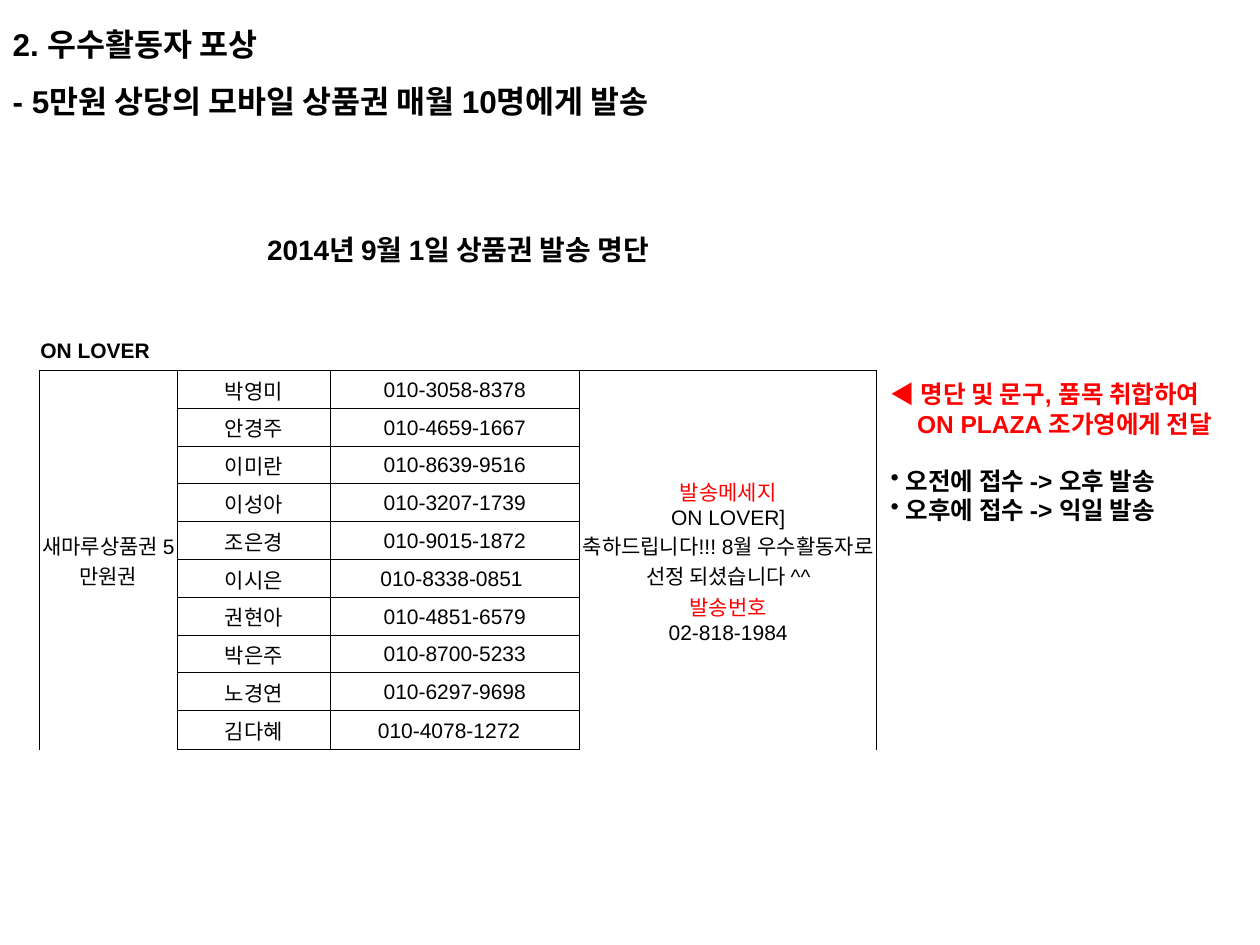
import pptx
import pptx.util
import pptx.dml.color
import pptx.enum.text
import pptx.oxml
import pptx.oxml.ns
import lxml.etree

Inches = pptx.util.Inches
Pt = pptx.util.Pt
ALIGN = pptx.enum.text.PP_ALIGN
ANCHOR = pptx.enum.text.MSO_ANCHOR
qn = pptx.oxml.ns.qn
NO_STYLE = "{2D5ABB26-0587-4C30-8999-92F81FD0307C}"
BLACK, RED = "000000", "FF0000"

PEOPLE = [
    ("박영미", "010-3058-8378"), ("안경주", "010-4659-1667"),
    ("이미란", "010-8639-9516"), ("이성아", "010-3207-1739"),
    ("조은경", "010-9015-1872"), ("이시은", "010-8338-0851"),
    ("권현아", "010-4851-6579"), ("박은주", "010-8700-5233"),
    ("노경연", "010-6297-9698"), ("김다혜", "010-4078-1272"),
]
MESSAGE = [
    [("발송메세지\n", RED), ("ON LOVER]", BLACK)],
    [("축하드립니다!!! 8월 우수활동자로 선정 되셨습니다 ^^\n", BLACK),
     ("발송번호\n", RED), ("02-818-1984", BLACK)],
]


def rgb(value):
    return pptx.dml.color.RGBColor.from_string(value)


def write(p, text, size=12, color=BLACK, bold=False, font="Arial"):
    r = p.add_run()
    r.text = text.rstrip("\n")
    r.font.name = font
    r.font.size = Pt(size)
    r.font.bold = bold
    r.font.color.rgb = rgb(color)
    if text.endswith("\n"):
        p.add_line_break()


def next_paragraph(tf, i):
    return tf.paragraphs[0] if i == 0 else tf.add_paragraph()


class Deck:
    def __init__(self, width, height):
        self.prs = pptx.Presentation()
        self.prs.slide_width = Inches(width)
        self.prs.slide_height = Inches(height)
        self.s = self.prs.slides.add_slide(self.prs.slide_layouts[5])

    def title(self, box, lines, size):
        sp = self.s.shapes.title
        sp.left, sp.top, sp.width, sp.height = [Inches(v) for v in box]
        tf = sp.text_frame
        tf.word_wrap = True
        tf.auto_size = pptx.enum.text.MSO_AUTO_SIZE.NONE
        tf.vertical_anchor = ANCHOR.TOP
        for i, line in enumerate(lines):
            p = next_paragraph(tf, i)
            p.alignment = ALIGN.LEFT
            p.line_spacing = 1.5
            write(p, line, size=size, bold=True)

    def text(self, box, lines, size):
        tf = self.s.shapes.add_textbox(*[Inches(v) for v in box]).text_frame
        tf.word_wrap = True
        for i, (text, color, indent, bullet, before) in enumerate(lines):
            p = next_paragraph(tf, i)
            p.space_before = Pt(before)
            pPr = p._p.get_or_add_pPr()
            pPr.set("marL", str(Inches(indent)))
            if bullet:
                pPr.set("indent", str(-Inches(indent)))
                lxml.etree.SubElement(pPr, qn("a:buChar")).set("char", bullet)
            write(p, text, size=size, color=color, bold=True)

    def table(self, left, top, cols, rows):
        sp = self.s.shapes.add_table(len(rows), len(cols), Inches(left), Inches(top),
                                     Inches(sum(cols)), Inches(sum(rows)))
        table = sp.table
        table.first_row = table.horz_banding = False
        table._tbl.tblPr.find(qn("a:tableStyleId")).text = NO_STYLE
        for col, width in zip(table.columns, cols):
            col.width = Inches(width)
        for row, height in zip(table.rows, rows):
            row.height = Inches(height)
        for cell in table.iter_cells():
            cell.margin_left = cell.margin_right = cell.margin_top = Inches(0.01)
            cell.margin_bottom = 0
            cell.vertical_anchor = ANCHOR.MIDDLE
            end = lxml.etree.SubElement(cell.text_frame.paragraphs[0]._p, qn("a:endParaRPr"))
            end.set("sz", "1200")
        return table

    def borders(self, cell, **widths):
        tcPr = cell._tc.get_or_add_tcPr()
        for side in "LRTB":
            if side in widths:
                ln = lxml.etree.SubElement(tcPr, qn("a:ln" + side))
                ln.set("w", str(Pt(widths[side])))
                fill = lxml.etree.SubElement(ln, qn("a:solidFill"))
                lxml.etree.SubElement(fill, qn("a:srgbClr")).set("val", BLACK)
        cell.fill.background()

    def fill_cell(self, cell, paragraphs, align=ALIGN.CENTER, **style):
        for i, runs in enumerate(paragraphs):
            p = next_paragraph(cell.text_frame, i)
            p.alignment = align
            for text, color in runs:
                write(p, text, color=color, **style)


def main():
    deck = Deck(10, 7.5)
    deck.title((0, 0, 10, 1.92),
               ["2. 우수활동자 포상", "- 5만원 상당의 모바일 상품권 매월 10명에게 발송"], 18)

    first, last = 3, 2 + len(PEOPLE)
    table = deck.table(0.31, 1.61, [1.1, 1.21, 1.98, 2.36],
                       [0.72, 0.3, 0.31] + [0.3] * 9 + [0.31])
    for row in range(last + 1):
        for col in range(4):
            inner = col in (1, 2)
            edges = {}
            if row >= first:
                edges.update(L=0.5, R=0.5)
                if inner or row == first:
                    edges["T"] = 1 if inner and row == first else 0.5
                if inner or row == last:
                    edges["B"] = 0.5
            elif row == first - 1:
                edges["B"] = 1 if inner else 0.5
            deck.borders(table.cell(row, col), **edges)

    table.cell(0, 0).merge(table.cell(0, 3))
    for col in (0, 3):
        table.cell(first, col).merge(table.cell(last, col))

    deck.fill_cell(table.cell(0, 0), [[("2014년 9월 1일 상품권 발송 명단", BLACK)]],
                   size=16, bold=True)
    deck.fill_cell(table.cell(2, 0), [[("ON LOVER", BLACK)]], align=ALIGN.LEFT, bold=True)
    deck.fill_cell(table.cell(first, 0), [[("새마루상품권 5만원권", BLACK)]])
    deck.fill_cell(table.cell(first, 3), MESSAGE)
    for row, person in enumerate(PEOPLE, first):
        for col, text in enumerate(person, 1):
            deck.fill_cell(table.cell(row, col), [[(text, BLACK)]])
    table.cell(8, 2).margin_right = Inches(0.06)
    table.cell(last, 2).margin_right = Inches(0.1)

    deck.text((6.97, 2.96, 3.03, 1.75), [
        ("◀ 명단 및 문구, 품목 취합하여", RED, 0, None, 0),
        ("ON PLAZA 조가영에게 전달", RED, 0.21, None, 0),
        ("오전에 접수 -> 오후 발송", BLACK, 0.12, "•", 16),
        ("오후에 접수 -> 익일 발송", BLACK, 0.12, "•", 0),
    ], 14)
    deck.prs.save("out.pptx")


if __name__ == "__main__":
    main()
